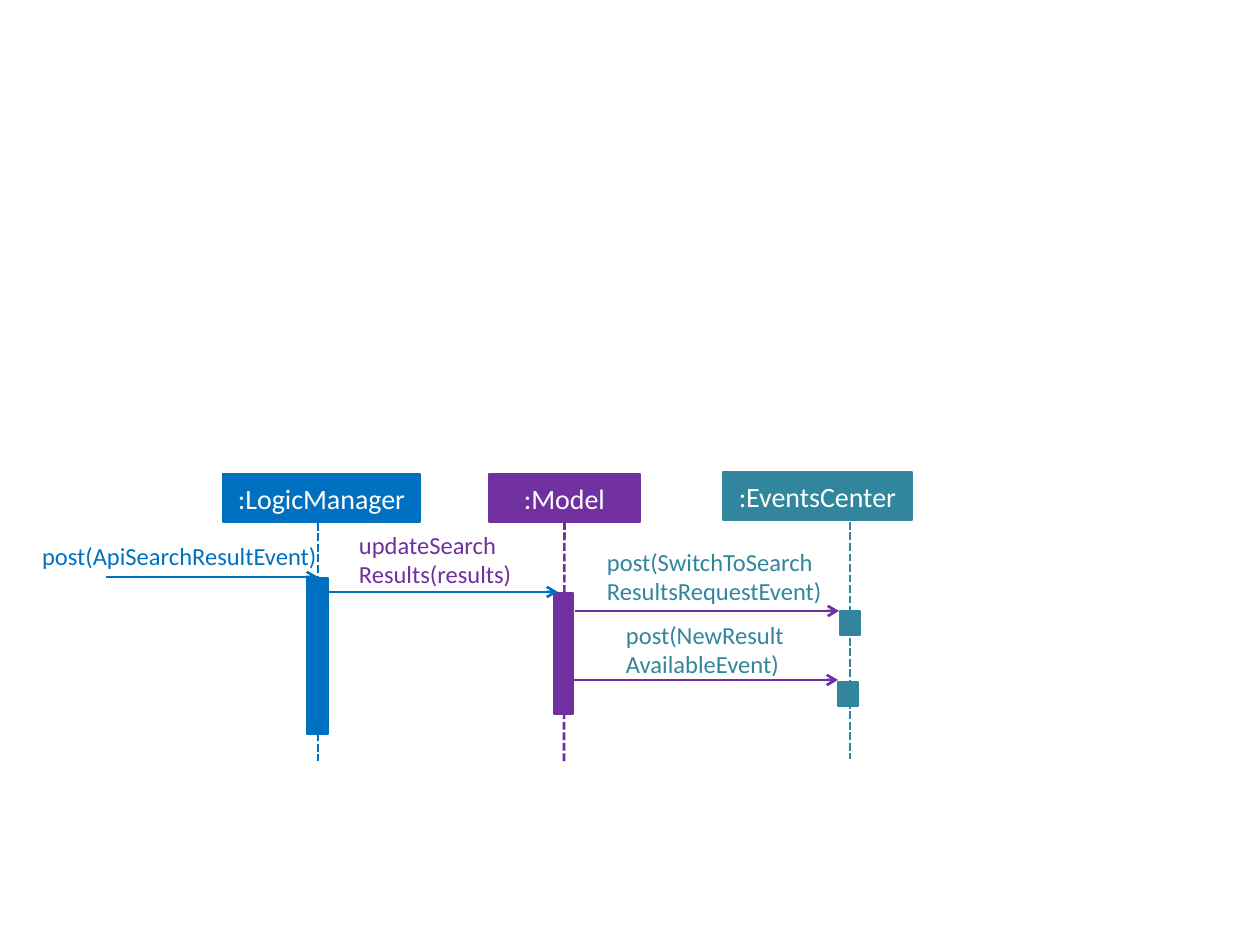
"""Build a sequence diagram of search result events passing between components."""
import pptx
import pptx.util
import pptx.dml.color
import pptx.enum.dml
import pptx.enum.shapes
import pptx.enum.text
import pptx.oxml.ns
import lxml.etree

PX = 914400 // 126
COLOURS = {"logic": "0070C0", "model": "7030A0", "events": "31859C", "white": "FFFFFF"}
RECTANGLE = pptx.enum.shapes.MSO_SHAPE.RECTANGLE
STRAIGHT = pptx.enum.shapes.MSO_CONNECTOR.STRAIGHT

deck = pptx.Presentation()
deck.slide_width = pptx.util.Inches(10)
deck.slide_height = pptx.util.Inches(7.5)
slide = deck.slides.add_slide(deck.slide_layouts[6])


def write(frame, text, size=14, colour="white", align=pptx.enum.text.PP_ALIGN.LEFT):
    frame.word_wrap = True
    frame.text = text
    for paragraph in frame.paragraphs:
        paragraph.alignment = align
        paragraph.font.name = "Calibri"
        paragraph.font.size = pptx.util.Pt(size)
        paragraph.font.color.rgb = pptx.dml.color.RGBColor.from_string(COLOURS[colour])


def draw(kind, start, extent, colour, weight=1.5):
    place = [n * PX for n in (*start, *extent)]
    rgb = pptx.dml.color.RGBColor.from_string(COLOURS[colour])
    if kind is RECTANGLE:
        part = slide.shapes.add_shape(RECTANGLE, *place)
        part.shadow.inherit = False
        part.fill.solid()
        part.fill.fore_color.rgb = rgb
    else:
        part = slide.shapes.add_connector(STRAIGHT, *place)
    part.line.color.rgb = rgb
    part.line.width = pptx.util.Pt(weight)
    if kind is STRAIGHT:
        lxml.etree.SubElement(part.element.spPr, pptx.oxml.ns.qn("a:effectLst"))
    return part


participants = [
    (":LogicManager", "logic", (223, 474), 197, (318, 523, 761), [(307, 578, 21, 156)]),
    (":Model", "model", (489, 474), 151, (564, 522, 762), [(554, 593, 19, 121)]),
    (":EventsCenter", "events", (723, 472), 189, (850, 522, 759),
     [(840, 611, 20, 24), (838, 682, 20, 24)]),
]
for name, colour, corner, width, (x, top, bottom), activations in participants:
    header = draw(RECTANGLE, corner, (width, 48), colour)
    header.text_frame.vertical_anchor = pptx.enum.text.MSO_ANCHOR.MIDDLE
    write(header.text_frame, name, size=16, align=pptx.enum.text.PP_ALIGN.CENTER)
    lifeline = draw(STRAIGHT, (x, top), (x, bottom), colour)
    lifeline.line.dash_style = pptx.enum.dml.MSO_LINE.SQUARE_DOT
    if name == ":Model":
        lifeline.begin_connect(header, 2)
    for left, upper, wide, high in activations:
        draw(RECTANGLE, (left, upper), (wide, high), colour, weight=0.75)

messages = [
    ("post(ApiSearchResultEvent)", "logic", (42, 541, 295, 30), "logic", (106, 318, 577)),
    ("updateSearch\nResults(results)", "model", (359, 530, 164, 59), "logic", (318, 558, 592)),
    ("post(SwitchToSearch\vResultsRequestEvent)", "events", (607, 547, 218, 59),
     "model", (575, 839, 611)),
    ("post(NewResult\vAvailableEvent)", "events", (626, 620, 169, 59),
     "model", (573, 838, 680)),
]
for call, call_colour, area, sender, (start, end, y) in messages:
    arrow = draw(STRAIGHT, (start, y), (end, y), sender)
    outline = arrow.element.spPr.find(pptx.oxml.ns.qn("a:ln"))
    lxml.etree.SubElement(outline, pptx.oxml.ns.qn("a:tailEnd"), type="arrow")
    label = slide.shapes.add_textbox(*[n * PX for n in area]).text_frame
    label.margin_left = label.margin_right = label.margin_top = label.margin_bottom = 0
    write(label, call, colour=call_colour)

deck.save("out.pptx")
